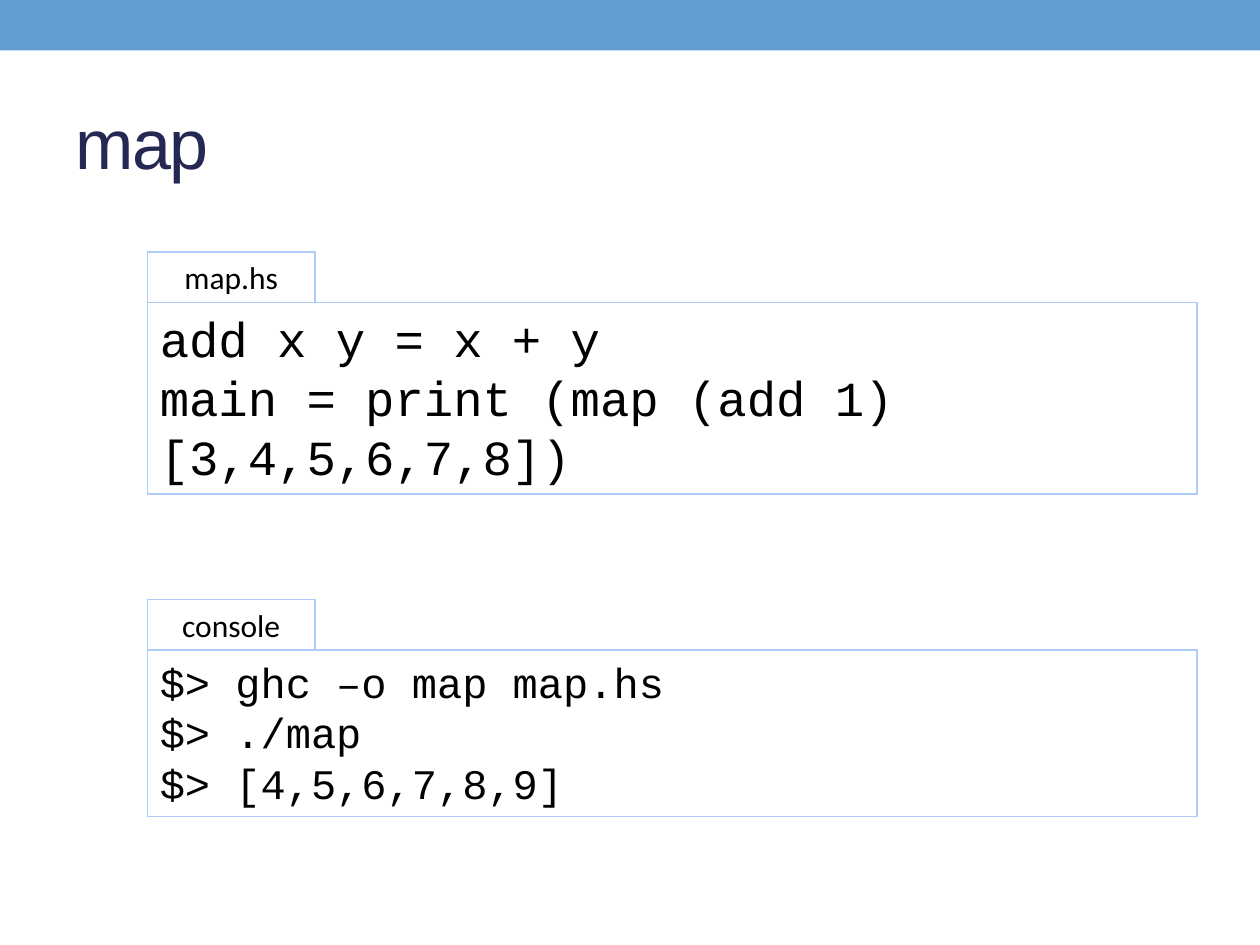
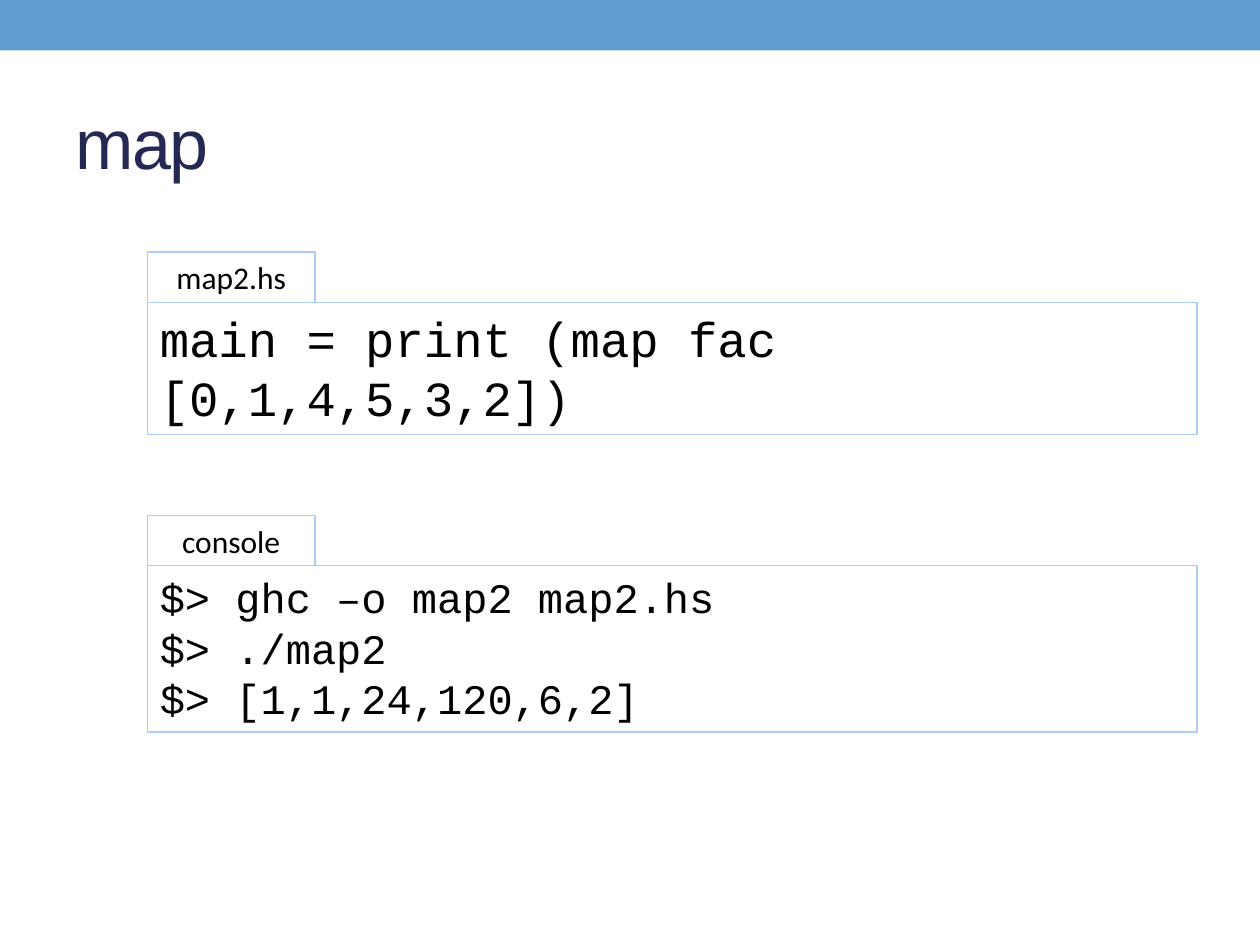
from pptx import Presentation
from pptx.dml.color import RGBColor
from pptx.enum.shapes import MSO_SHAPE
from pptx.enum.text import MSO_ANCHOR, MSO_AUTO_SIZE, PP_ALIGN
from pptx.util import Inches, Pt

WIDE, HIGH = 10, 7.5
SKY, PALE, NAVY, BLACK = "629DD1", "ACCBF9", "242852", "000000"
LEFT, TAB_W, TAB_H, CODE_W = 1.17, 1.33, 0.4, 8.33
TOP = 2

HEAD = {"size": Pt(40), "name": "Arial"}
LABEL = {"size": Pt(18), "name": "Calibri"}
CODE = {"size": Pt(28), "name": "Courier New"}
SHELL = {"size": Pt(24), "name": "Courier New"}

# Each panel: tab label, top of tab, height of code box, font, lines
SLIDES = [
    ("map", [
        ("map.hs", TOP, 1.52, CODE,
         ["add x y = x + y", "main = print (map (add 1) [3,4,5,6,7,8])"]),
        ("console", 4.76, 1.32, SHELL,
         ["$> ghc –o map map.hs", "$> ./map", "$> [4,5,6,7,8,9]"]),
    ]),
    ("map", [
        ("map2.hs", TOP, 1.05, CODE,
         ["main = print (map fac [0,1,4,5,3,2])"]),
        ("console", 4.09, 1.32, SHELL,
         ["$> ghc –o map2 map2.hs", "$> ./map2", "$> [1,1,24,120,6,2]"]),
    ]),
]


def color(code):
    return RGBColor.from_string(code)


def style(para, font, ink, align):
    para.alignment = align
    for run in para.runs:
        for key, value in font.items():
            setattr(run.font, key, value)
        run.font.color.rgb = color(ink)


def add_rect(slide, left, top, width, height):
    rect = slide.shapes.add_shape(
        MSO_SHAPE.RECTANGLE, *map(Inches, (left, top, width, height)))
    rect.shadow.inherit = False
    return rect


def add_band(slide, layout):
    """Draw the top band and move it to the layout, so all slides share it."""
    band = add_rect(slide, 0, 0, WIDE, 0.4)
    band.fill.solid()
    band.fill.fore_color.rgb = color(SKY)
    band.line.fill.background()
    layout.shapes._spTree.insert(2, band._element)


def add_title(slide, text):
    title = slide.shapes.title
    place = {"left": 0.5, "top": 0.58, "width": 9, "height": 1.08}
    for key, value in place.items():
        setattr(title, key, Inches(value))
    frame = title.text_frame
    frame.text = text
    frame.vertical_anchor = MSO_ANCHOR.MIDDLE
    para = frame.paragraphs[0]
    style(para, HEAD, NAVY, PP_ALIGN.LEFT)
    para.runs[0].font._element.set("spc", "-100")


def add_box(slide, place, lines, font, align):
    box = add_rect(slide, *place)
    box.fill.background()
    box.line.color.rgb = color(PALE)
    box.line.width = Pt(0.75)
    frame = box.text_frame
    frame.text = "\n".join(lines)
    look = {"word_wrap": True, "vertical_anchor": MSO_ANCHOR.TOP,
            "auto_size": MSO_AUTO_SIZE.SHAPE_TO_FIT_TEXT}
    for key, value in look.items():
        setattr(frame, key, value)
    for para in frame.paragraphs:
        style(para, font, BLACK, align)


def add_panel(slide, label, top, height, font, lines):
    """Add a code box with a label tab on its upper left edge."""
    add_box(slide, (LEFT, top + TAB_H, CODE_W, height), lines, font,
            PP_ALIGN.LEFT)
    add_box(slide, (LEFT, top, TAB_W, TAB_H), [label], LABEL,
            PP_ALIGN.CENTER)


def main():
    deck = Presentation()
    deck.slide_width, deck.slide_height = Inches(WIDE), Inches(HIGH)
    layout = deck.slide_layouts.get_by_name("Title Only")
    for title, panels in SLIDES:
        slide = deck.slides.add_slide(layout)
        add_title(slide, title)
        for panel in panels:
            add_panel(slide, *panel)
    add_band(deck.slides[0], layout)
    deck.save("out.pptx")


if __name__ == "__main__":
    main()
